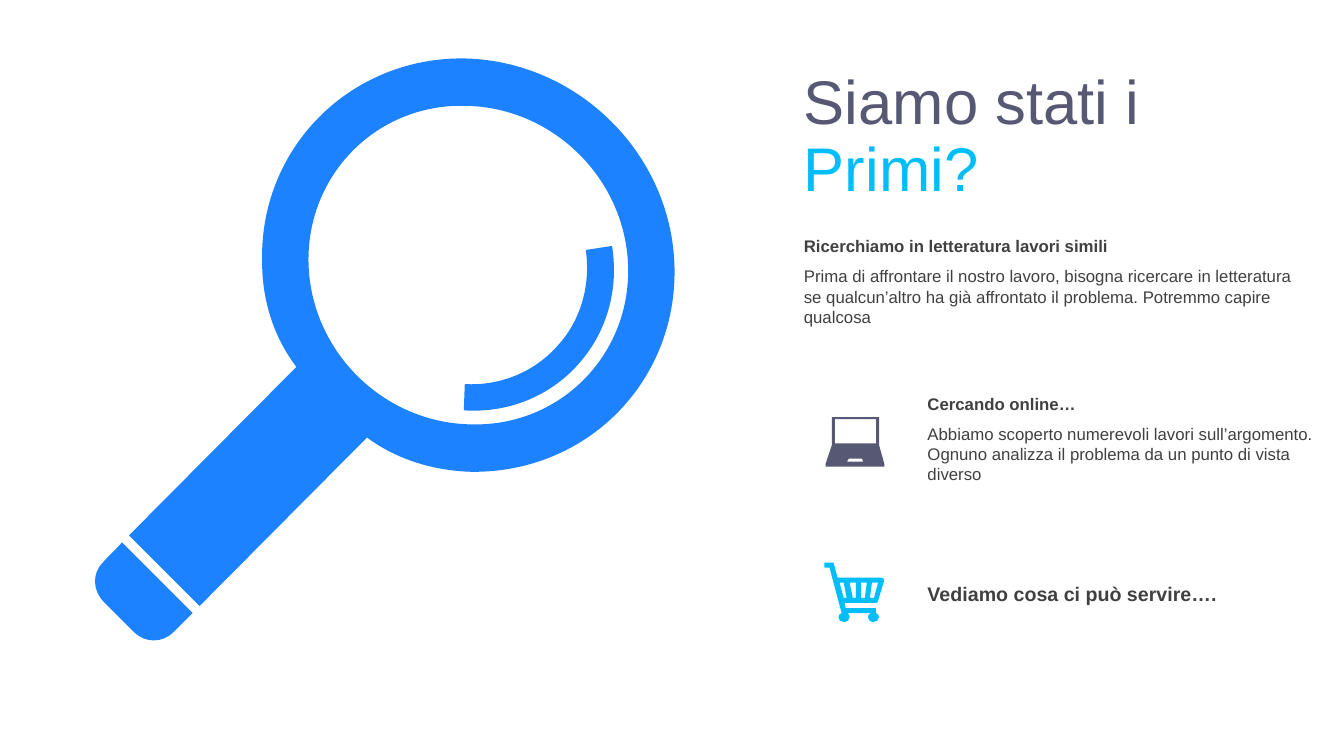
from math import cos, radians, sin

from lxml.etree import SubElement
from pptx import Presentation
from pptx.dml.color import RGBColor
from pptx.enum.text import MSO_ANCHOR as Anchor, MSO_AUTO_SIZE as AutoSize, PP_ALIGN as Align
from pptx.oxml.ns import qn
from pptx.util import Pt

COLORS = {"slate": "565874", "cyan": "00BDFB", "blue": "1C82FF", "text": "404040"}
FONT = "Arial"

MAGNIFIER = [
    [(101, 558), (82, 577), (71, 588, 54, 588, 43, 577), (13, 547),
     (2, 536, 1, 519, 12, 508), (18, 501, 25, 495, 31, 488)],
    [(517, 194), (524, 237, 512, 280, 483, 312), (455, 343, 414, 360, 370, 357),
     (371, 331), (406, 333, 440, 319, 463, 293), (486, 268, 496, 233, 491, 198)],
    [(533, 215), (531, 128, 459, 56, 371, 55), (284, 53, 214, 123, 216, 211),
     (218, 298, 290, 370, 378, 371), (465, 373, 535, 303, 533, 215)],
    [(579, 216), (581, 329, 492, 419, 378, 418), (340, 417, 304, 406, 274, 384),
     (108, 551), (38, 481), (204, 314), (182, 285, 170, 249, 170, 210),
     (167, 97, 257, 7, 370, 8), (483, 10, 577, 103, 579, 216)],
]
LAPTOP = [
    [(23, 41), (21, 44), (37, 44), (36, 41)],
    [(9, 2), (9, 26), (50, 26), (50, 2)],
    [(6, 0), (53, 0), (53, 28), (58, 46), (58, 49), (0, 49), (0, 46), (6, 28)],
]
CART = [
    [(47, 20), (45, 35), (49, 35), (53, 20)],
    [(36, 20), (36, 35), (40, 35), (42, 20)],
    [(25, 20), (28, 35), (31, 35), (31, 20)],
    [(15, 20), (19, 35), (22, 35), (19, 20)],
    [(9, 0), (13, 15), (56, 15), (59, 16, 60, 17, 59, 18), (53, 38),
     (53, 39, 52, 40, 51, 40), (20, 40), (21, 45), (51, 45), (51, 50),
     (53, 51, 54, 52, 54, 54), (54, 57, 51, 59, 48, 59),
     (46, 59, 43, 57, 43, 54), (43, 52, 44, 51, 46, 50), (23, 50),
     (24, 51, 25, 53, 25, 54), (25, 57, 22, 59, 20, 59),
     (17, 59, 14, 57, 14, 54), (14, 52, 15, 51, 17, 50), (5, 5), (0, 5), (0, 0)],
]


def rgb(color):
    return RGBColor.from_string(COLORS[color])


def write(frame, text, size=12, color="text", bold=False):
    run = frame.paragraphs[0].add_run()
    run.text = text
    run.font.name = FONT
    run.font.size = Pt(size)
    run.font.bold = bold
    run.font.color.rgb = rgb(color)


def add_text(shapes, box, text, fit=AutoSize.SHAPE_TO_FIT_TEXT, **style):
    frame = shapes.add_textbox(*map(Pt, box)).text_frame
    frame.word_wrap = True
    frame.auto_size = fit
    write(frame, text, **style)


def turn(point, pivot, degrees):
    angle = radians(degrees)
    dx, dy = point[0] - pivot[0], point[1] - pivot[1]
    return (pivot[0] + dx * cos(angle) - dy * sin(angle),
            pivot[1] + dx * sin(angle) + dy * cos(angle))


def bend(line, points, left, top):
    line.tag = qn("a:cubicBezTo")
    for old in list(line):
        line.remove(old)
    for x, y in points:
        SubElement(line, qn("a:pt"), x=str(round(x - left)), y=str(round(y - top)))


def add_icon(slide, box, contours, color, rotation=0, pivot=(0, 0)):
    left, top, width = box
    unit = width / max(step[-2] for contour in contours for step in contour)
    center = Pt(left + pivot[0] * unit), Pt(top + pivot[1] * unit)

    def place(step):
        return [turn((Pt(left + x * unit), Pt(top + y * unit)), center, -rotation)
                for x, y in zip(step[::2], step[1::2])]

    outlines = [[place(step) for step in contour] for contour in contours]
    builder = slide.shapes.build_freeform(*outlines[0][0][0], scale=1.0)
    for index, outline in enumerate(outlines):
        if index:
            builder.move_to(*outline[0][0])
        builder.add_line_segments([step[-1] for step in outline[1:]], close=True)
    icon = builder.convert_to_shape()
    lines = list(icon.element.iter(qn("a:lnTo")))
    steps = [step for outline in outlines for step in outline[1:]]
    for line, step in zip(lines, steps):
        if len(step) == 3:
            bend(line, step, icon.left, icon.top)
    middle = icon.left + icon.width / 2, icon.top + icon.height / 2
    x, y = turn(middle, center, rotation)
    icon.left, icon.top = round(x - icon.width / 2), round(y - icon.height / 2)
    icon.rotation = rotation
    icon.shadow.inherit = False
    icon.fill.solid()
    icon.fill.fore_color.rgb = rgb(color)
    icon.line.fill.background()


def add_title(slide, box):
    title = slide.shapes.title
    title.left, title.top, title.width, title.height = map(Pt, box)
    frame = title.text_frame
    frame.word_wrap = True
    frame.auto_size = AutoSize.NONE
    frame.vertical_anchor = Anchor.MIDDLE
    frame.paragraphs[0].alignment = Align.LEFT
    frame.paragraphs[0].line_spacing = 0.9
    write(frame, "Siamo stati i ", size=44, color="slate")
    write(frame, "Primi?", size=44, color="cyan")


def add_entry(slide, box, heading, body):
    left, top, width, height = box
    heading_height = 21.8
    entry = slide.shapes.add_group_shape().shapes
    add_text(entry, (left, top + heading_height, width, height - heading_height), body)
    add_text(entry, (left, top, width, heading_height), heading, bold=True)


def main():
    deck = Presentation()
    deck.slide_width, deck.slide_height = Pt(960), Pt(540)
    slide = deck.slides.add_slide(deck.slide_layouts[5])
    add_title(slide, (567, 42.1, 335.5, 113))
    add_entry(slide, (567.1, 164.8, 375.8, 72.7), "Ricerchiamo in letteratura lavori simili",
              "Prima di affrontare il nostro lavoro, bisogna ricercare in letteratura "
              "se qualcun’altro ha già affrontato il problema. Potremmo capire qualcosa")
    add_entry(slide, (655.4, 277.4, 294.5, 72.7), "Cercando online…",
              "Abbiamo scoperto numerevoli lavori sull’argomento. "
              "Ognuno analizza il problema da un punto di vista diverso")
    add_text(slide.shapes, (655.4, 411.8, 294.5, 24.2),
             "Vediamo cosa ci può servire….", fit=AutoSize.NONE, size=14, bold=True)
    add_icon(slide, (64.8, 36, 417), MAGNIFIER, "blue", rotation=44.8, pivot=(251, 337))
    add_icon(slide, (589.8, 298, 41.8), LAPTOP, "slate")
    add_icon(slide, (588.9, 401.8, 42.6), CART, "cyan")
    deck.save("out.pptx")


if __name__ == "__main__":
    main()
